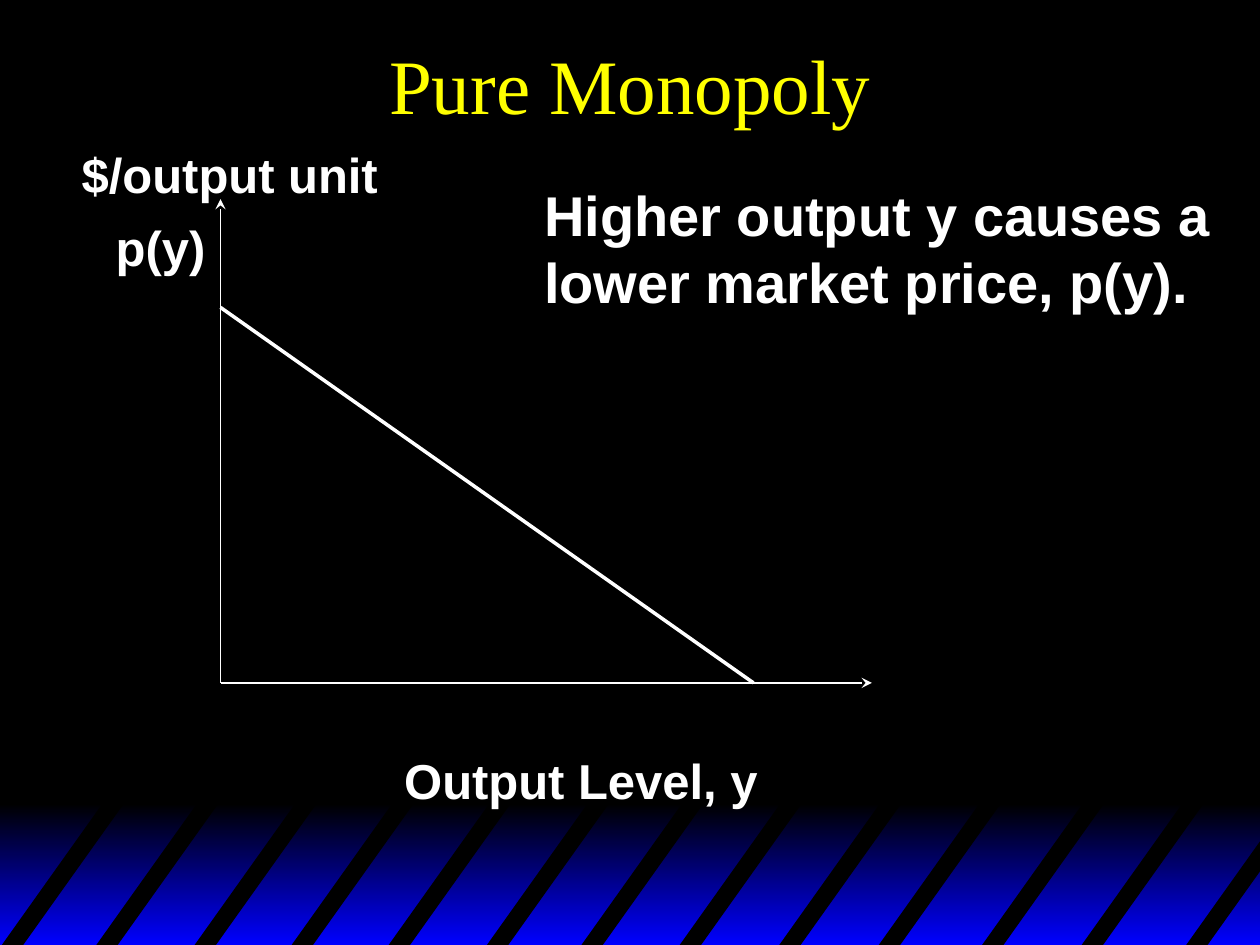
from lxml.etree import SubElement
from pptx import Presentation
from pptx.dml.color import RGBColor as RGB
from pptx.enum.shapes import MSO_CONNECTOR as CONNECTOR, MSO_SHAPE as SHAPE
from pptx.enum.text import MSO_ANCHOR as ANCHOR, MSO_AUTO_SIZE as AUTO, PP_ALIGN as ALIGN
from pptx.oxml.ns import qn
from pptx.util import Inches, Pt

THEME = {
    "black": RGB(0, 0, 0),
    "blue": RGB(0, 0, 255),
    "white": RGB(255, 255, 255),
    "yellow": RGB(255, 255, 0),
    "title_font": "Times New Roman",
    "body_font": "Arial",
    "title_size": 44,
    "label_size": 28,
    "message_size": 32,
}

TITLE = "Pure Monopoly"
LABELS = [
    ("Output Level, y", (3.11, 5.91, 3.01, 0.57), "label_size"),
    ("$/output unit", (0.55, 1.1, 2.55, 0.57), "label_size"),
    ("p(y)", (0.82, 1.68, 0.91, 0.57), "label_size"),
    ("Higher output y causes a\nlower market price, p(y).", (4.22, 1.38, 5.49, 1.17), "message_size"),
]

ORIGIN = (1.75, 5.42)
LINES = [
    (ORIGIN, (ORIGIN[0], 1.58), 1, True),
    (ORIGIN, (6.92, ORIGIN[1]), 1, True),
    ((ORIGIN[0], 2.44), (5.98, ORIGIN[1]), 2, False),
]

BAND = (0, 6.38, 10.02, 1.12)
STRIPE_LEFTS = [0, 0.75, 1.53, 2.3, 3.07, 3.85, 4.6, 5.38, 6.17, 6.96, 7.78, 8.57, 9.4]
STRIPE_TOP, STRIPE_BOTTOM = 6.34, 7.52
STRIPE_WIDTH, STRIPE_LEAN = 0.17, 0.84


def add_text(slide, text, box, *, font, size, color, bold=False,
             align=ALIGN.LEFT, anchor=ANCHOR.TOP, wrap=False):
    words = slide.shapes.add_textbox(*map(Inches, box))
    frame = words.text_frame
    frame.word_wrap = wrap
    frame.auto_size = AUTO.NONE if wrap else AUTO.SHAPE_TO_FIT_TEXT
    frame.vertical_anchor = anchor
    paragraph = frame.paragraphs[0]
    paragraph.text = text
    paragraph.alignment = align
    paragraph.font.name = font
    paragraph.font.size = Pt(size)
    paragraph.font.bold = bold
    paragraph.font.color.rgb = color


def add_line(slide, start, end, width, arrow):
    line = slide.shapes.add_connector(CONNECTOR.STRAIGHT, *map(Inches, start + end))
    line.line.color.rgb = THEME["white"]
    line.line.width = Pt(width)
    if arrow:
        SubElement(line.line._get_or_add_ln(), qn("a:tailEnd"), type="stealth")
    SubElement(line._element.spPr, qn("a:effectLst"))


def add_band(slide):
    band = slide.shapes.add_shape(SHAPE.RECTANGLE, *map(Inches, BAND))
    band.shadow.inherit = False
    band.line.fill.background()
    band.fill.gradient()
    band.fill.gradient_angle = 270
    for stop, color in zip(band.fill.gradient_stops, ("black", "blue")):
        stop.color.rgb = THEME[color]


def stripe_top(left, right_edge):
    x = min(left + STRIPE_LEAN, right_edge)
    rise = (x - left) / STRIPE_LEAN * (STRIPE_BOTTOM - STRIPE_TOP)
    return x, STRIPE_BOTTOM - rise


def add_stripe(slide, left):
    right_edge = BAND[0] + BAND[2]
    right = left + STRIPE_WIDTH
    corners = [
        (left, STRIPE_BOTTOM),
        stripe_top(left, right_edge),
        stripe_top(right, right_edge),
        (right, STRIPE_BOTTOM),
    ]
    points = [(Inches(x), Inches(y)) for x, y in corners]
    outline = slide.shapes.build_freeform(*points[0])
    outline.add_line_segments(points[1:], close=True)
    stripe = outline.convert_to_shape()
    stripe.shadow.inherit = False
    stripe.fill.solid()
    stripe.fill.fore_color.rgb = THEME["black"]
    stripe.line.fill.background()


def main():
    deck = Presentation()
    deck.slide_width, deck.slide_height = Inches(10), Inches(7.5)
    slide = deck.slides.add_slide(deck.slide_layouts[6])
    slide.background.fill.solid()
    slide.background.fill.fore_color.rgb = THEME["black"]

    add_band(slide)
    for left in STRIPE_LEFTS:
        add_stripe(slide, left)

    add_text(slide, TITLE, (0, 0, 10, 1.33), font=THEME["title_font"],
             size=THEME["title_size"], color=THEME["yellow"],
             align=ALIGN.CENTER, anchor=ANCHOR.MIDDLE, wrap=True)
    for start, end, width, arrow in LINES:
        add_line(slide, start, end, width, arrow)
    for text, box, size in LABELS:
        add_text(slide, text, box, font=THEME["body_font"], size=THEME[size],
                 color=THEME["white"], bold=True)

    deck.save("out.pptx")


if __name__ == "__main__":
    main()
